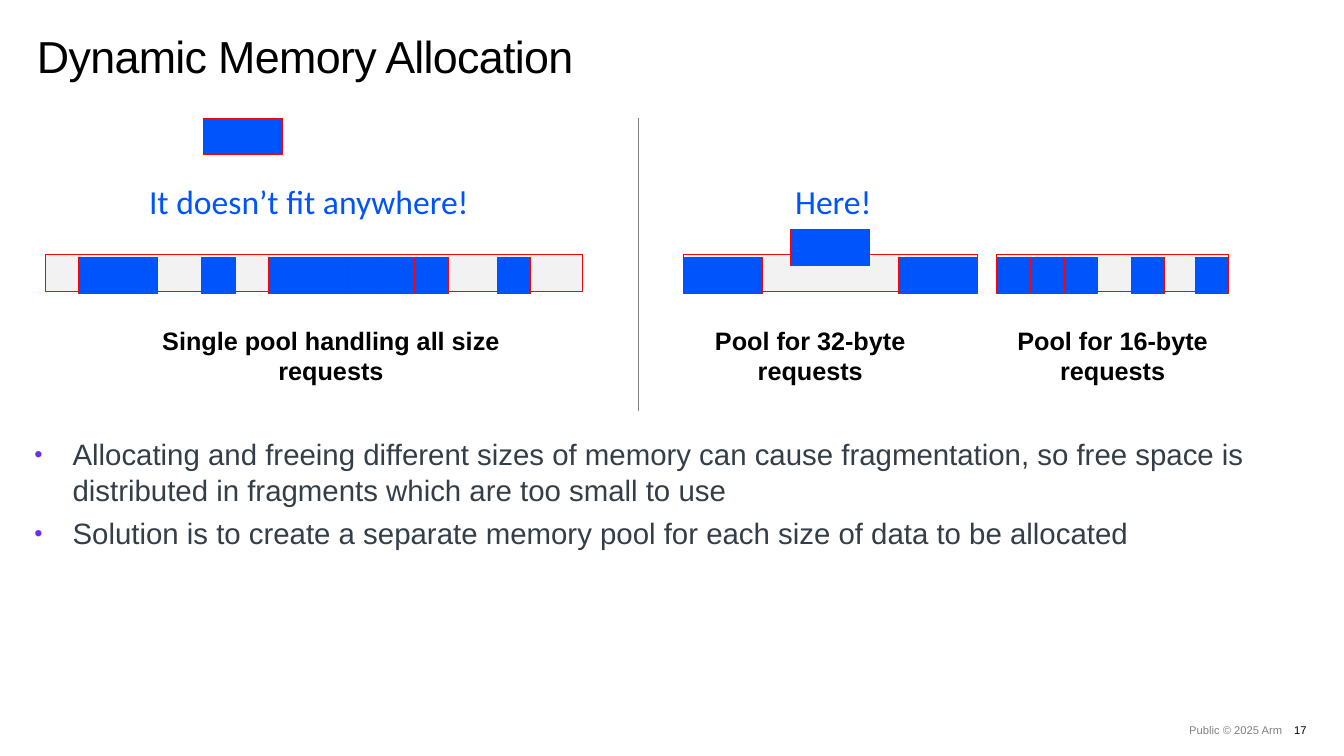
from dataclasses import dataclass

from lxml.etree import SubElement
from pptx import Presentation
from pptx.dml.color import RGBColor
from pptx.enum.shapes import MSO_CONNECTOR, MSO_SHAPE
from pptx.enum.text import MSO_AUTO_SIZE, PP_ALIGN
from pptx.oxml.ns import qn
from pptx.util import Inches, Pt


@dataclass(frozen=True)
class Theme:
    black: str = "000000"
    body: str = "333E48"
    bullet: str = "6E2FF1"
    used: str = "0054FC"
    free: str = "F2F2F2"
    outline: str = "FF0000"
    divider: str = "808080"
    font: str = "Arial"
    remark_font: str = "Calibri"
    title_size: float = 32
    remark_size: float = 24
    body_size: float = 21
    label_size: float = 18
    footer_size: float = 8
    line_width: float = 0.75


THEME = Theme()
WIDTH, HEIGHT = Inches(13.33), Inches(7.5)
COLUMNS, ROWS = 40, 30
BLOCK_16, BLOCK_32 = 1, 2.35
POOL_ROW, BLOCK_ROW, BLOCK_HEIGHT = 10.1, 10.2, 1.45


def cell(column, row):
    return round(WIDTH * column / COLUMNS), round(HEIGHT * row / ROWS)


def style(paragraph, size, color, font=THEME.font, bold=False):
    for run in paragraph.runs:
        run.font.name, run.font.size, run.font.bold = font, Pt(size), bold
        run.font.color.rgb = RGBColor.from_string(color)


def add_text(slide, column, row, columns, rows, lines, size, color,
             align=PP_ALIGN.LEFT, padded=False, grow=False, wrap=True, **look):
    box = slide.shapes.add_textbox(*cell(column, row), *cell(columns, rows))
    frame = box.text_frame
    frame.text = lines
    frame.word_wrap = wrap
    frame.auto_size = MSO_AUTO_SIZE.SHAPE_TO_FIT_TEXT if grow else MSO_AUTO_SIZE.NONE
    if not padded:
        frame.margin_left = frame.margin_right = 0
        frame.margin_top = frame.margin_bottom = 0
    for paragraph in frame.paragraphs:
        paragraph.alignment = align
        style(paragraph, size, color, **look)
    return frame.paragraphs


def add_title(slide, text):
    title, = add_text(slide, 1.1, 1.45, 36.85, 1.85, text, THEME.title_size, THEME.black)
    title.line_spacing = 0.85
    title.runs[0]._r.get_or_add_rPr().set("spc", "-50")


def add_bullets(slide, points):
    paragraphs = add_text(slide, 1.02, 17.32, 37.3, 10.35, "\n".join(points),
                          THEME.body_size, THEME.body)
    for index, paragraph in enumerate(paragraphs):
        properties = paragraph._p.get_or_add_pPr()
        properties.set("marL", str(Inches(0.38)))
        properties.set("indent", str(-Inches(0.38)))
        color = SubElement(properties, qn("a:buClr"))
        SubElement(color, qn("a:srgbClr"), val=THEME.bullet)
        SubElement(properties, qn("a:buSzPct"), val="80000")
        SubElement(properties, qn("a:buFont"), typeface=THEME.font)
        SubElement(properties, qn("a:buChar"), char="•")
        paragraph.space_before = Pt(6 if index else 0)


def add_memory(shapes, column, row, columns, color):
    memory = shapes.add_shape(MSO_SHAPE.RECTANGLE, *cell(column, row),
                              *cell(columns, BLOCK_HEIGHT))
    memory.shadow.inherit = False
    memory.fill.solid()
    memory.fill.fore_color.rgb = RGBColor.from_string(color)
    memory.line.color.rgb = RGBColor.from_string(THEME.outline)
    memory.line.width = Pt(THEME.line_width)


def add_pool(shapes, column, columns, blocks):
    """Draw free memory and its used blocks, given as (offset, size) in columns."""
    add_memory(shapes, column, POOL_ROW, columns, THEME.free)
    for offset, size in blocks:
        add_memory(shapes, column + offset, BLOCK_ROW, size, THEME.used)


def add_request(slide, column, row):
    add_memory(slide.shapes, column, row, BLOCK_32, THEME.used)


def add_remark(slide, column, columns, text):
    remark, = add_text(slide, column, 7, columns, 2, text, THEME.remark_size, THEME.used,
                       PP_ALIGN.CENTER, padded=True, grow=True, wrap=False,
                       font=THEME.remark_font)
    properties = remark.runs[0]._r.get_or_add_rPr()
    outline = SubElement(properties, qn("a:ln"), w=str(Pt(0.8)))
    fill = SubElement(outline, qn("a:solidFill"))
    SubElement(fill, qn("a:srgbClr"), val=THEME.used)
    properties.insert(0, outline)


def add_label(slide, column, columns, text):
    add_text(slide, column, 12.7, columns, 1.6, text, THEME.label_size, THEME.black,
             PP_ALIGN.CENTER, padded=True, grow=True, bold=True)


def add_divider(slide, column, top, bottom):
    divider = slide.shapes.add_connector(MSO_CONNECTOR.STRAIGHT,
                                         *cell(column, top), *cell(column, bottom))
    divider.line.color.rgb = RGBColor.from_string(THEME.divider)
    divider.line.width = Pt(THEME.line_width)
    SubElement(divider._element.spPr, qn("a:effectLst"))


def add_footer(slide, column, columns, text, opacity=100):
    footer, = add_text(slide, column, 28.76, columns, 0.48, text, THEME.footer_size,
                       THEME.black, PP_ALIGN.RIGHT, grow=True)
    footer.line_spacing = 0.9
    if opacity < 100:
        for color in footer._p.iter(qn("a:srgbClr")):
            SubElement(color, qn("a:alpha"), val=str(opacity * 1000))


def main():
    deck = Presentation()
    deck.slide_width, deck.slide_height = WIDTH, HEIGHT
    slide = deck.slides.add_slide(deck.slide_layouts[6])

    add_footer(slide, 37.87, 1.02, "17")
    add_footer(slide, 22.95, 15.22, "Public © 2025 Arm", opacity=50)
    add_title(slide, "Dynamic Memory Allocation")
    add_bullets(slide, [
        "Allocating and freeing different sizes of memory can cause fragmentation, "
        "so free space is distributed in fragments which are too small to use",
        "Solution is to create a separate memory pool for each size of data to be allocated",
    ])

    add_pool(slide.shapes, 1.35, 16, [
        (1, BLOCK_32), (4.65, BLOCK_16), (6.65, BLOCK_32), (9, BLOCK_16),
        (10, BLOCK_16), (11, BLOCK_16), (13.45, BLOCK_16)])
    add_request(slide, 6.05, 4.7)
    add_remark(slide, 4.08, 10.23, "It doesn’t fit anywhere!")
    add_label(slide, 3.45, 12.8, "Single pool handling all size requests")

    add_pool(slide.shapes, 20.35, 8.75, [(0, BLOCK_32), (8.75 - BLOCK_32, BLOCK_32)])
    add_request(slide, 23.53, 9.1)
    add_remark(slide, 23.32, 2.97, "Here!")
    add_label(slide, 19.9, 8.43, "Pool for 32-byte requests")

    add_pool(slide.shapes.add_group_shape().shapes, 29.67, 6.9,
             [(offset, BLOCK_16) for offset in (0, 1, 2, 4, 5.9)])
    add_label(slide, 28.9, 8.43, "Pool for 16-byte requests")
    add_divider(slide, 19, 4.7, 16.33)

    deck.save("out.pptx")


if __name__ == "__main__":
    main()
